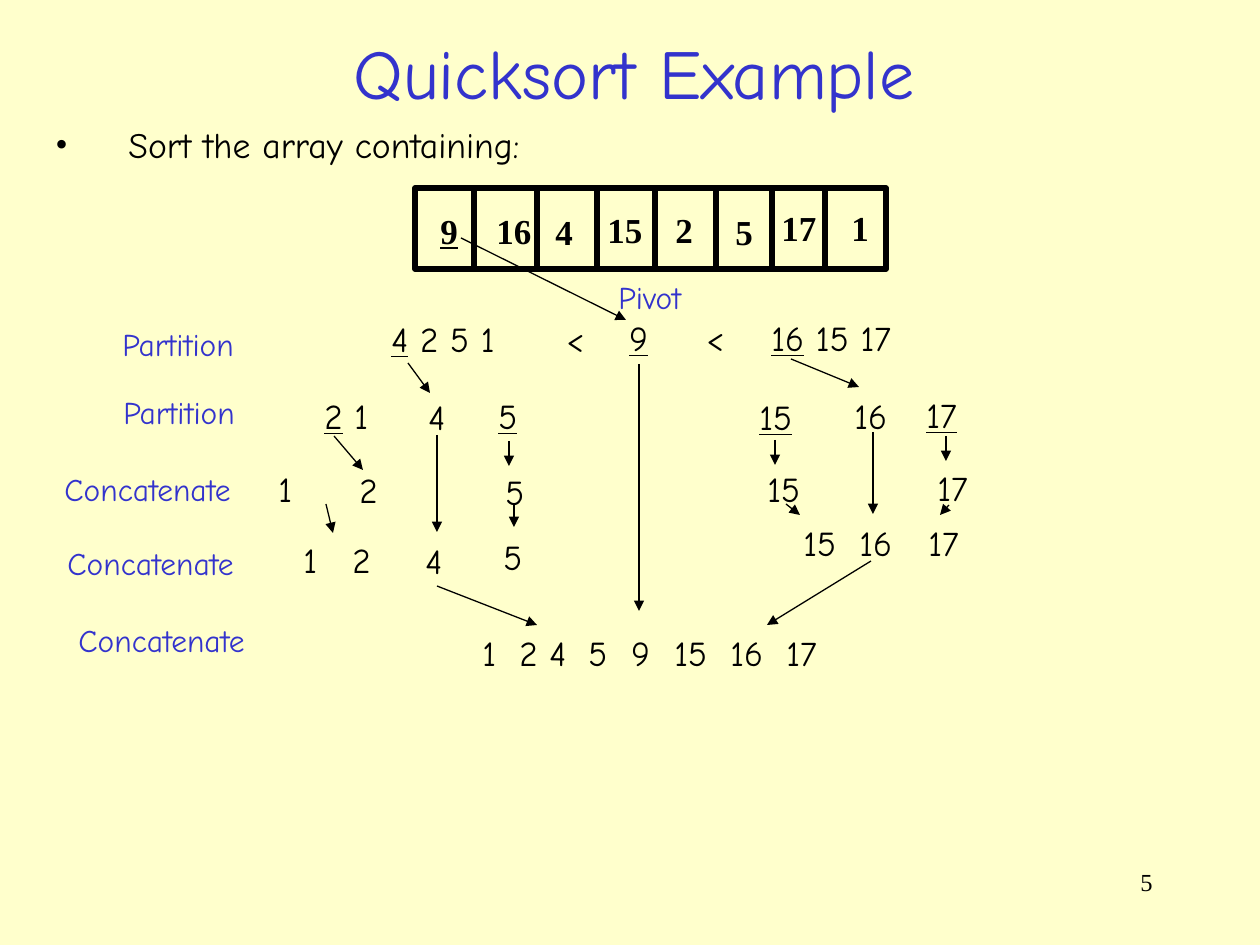
from pptx import Presentation
from pptx.dml.color import RGBColor
from pptx.enum.shapes import MSO_CONNECTOR, MSO_SHAPE
from pptx.enum.text import MSO_ANCHOR, MSO_AUTO_SIZE, PP_ALIGN
from pptx.oxml.ns import qn
from pptx.util import Pt
from lxml import etree

PX = 914400 / 126
LINE = MSO_CONNECTOR.STRAIGHT
RECT = MSO_SHAPE.RECTANGLE
GROW = MSO_AUTO_SIZE.SHAPE_TO_FIT_TEXT
MID, TOP = MSO_ANCHOR.MIDDLE, MSO_ANCHOR.TOP
LEFT, MIDDLE, RIGHT = PP_ALIGN.LEFT, PP_ALIGN.CENTER, PP_ALIGN.RIGHT
HAND, SERIF = "Comic Neue", "Times New Roman"
COLORS = {"paper": "FFFFCC", "ink": "000000", "blue": "3333CC"}

# Array cells: x, y, value
CELLS = [(428, 203, "9"), (484, 203, "16"), (543, 204, "4"), (595, 202, "15"),
         (663, 202, "2"), (723, 204, "5"), (769, 200, "17"), (839, 200, "1")]
WALLS = [474, 537, 597, 655, 716, 772, 825]

# Step names: x, y, width, text
STEPS = [(606, 272, 90, "Pivot"), (110, 319, 139, "Partition"),
         (111, 387, 139, "Partition"), (52, 464, 195, "Concatenate"),
         (55, 538, 195, "Concatenate"), (66, 615, 195, "Concatenate")]

# Sublists: x, y, text, count of leading underlined characters
LISTS = [
    # First partition
    (379, 311, "4 2 5 1", 1), (554, 311, "<", 0), (617, 310, "9", 1),
    (694, 310, "<", 0), (759, 310, "16 15 17", 2),
    # Second partition
    (312, 388, "2 1", 1), (416, 389, "4", 0), (486, 388, "5", 1),
    (747, 389, "15", 2), (842, 388, "16", 0), (914, 387, "17", 2),
    # First join
    (266, 461, "1", 0), (347, 462, "2", 0), (493, 464, "5", 0),
    (755, 461, "15", 0), (925, 460, "17", 0),
    # Second join
    (291, 532, "1", 0), (340, 532, "2", 0), (413, 533, "4", 0),
    (491, 529, "5", 0), (791, 515, "15", 0), (847, 515, "16", 0),
    (916, 515, "17", 0),
]
# Sorted result: x, value
SORTED = [(470, "1"), (507, "2"), (537, "4"), (576, "5"),
          (619, "9"), (662, "15"), (718, "16"), (774, "17")]

# Arrows: start x, y, end x, y
ARROWS = [
    (461, 238, 626, 320), (408, 363, 430, 393), (791, 359, 859, 387),
    (334, 436, 363, 470), (509, 441, 509, 466), (775, 440, 775, 465),
    (946, 436, 946, 461), (326, 504, 333, 533), (437, 435, 437, 532),
    (514, 505, 514, 527), (437, 586, 537, 625), (786, 504, 800, 515),
    (873, 432, 873, 514), (949, 505, 940, 515), (639, 364, 639, 611),
    (871, 561, 767, 625),
]


def px(*nums):
    return [round(n * PX) for n in nums]


def tint(name):
    return RGBColor.from_string(COLORS[name])


def box(slide, x, y, w, h, align=LEFT, anchor=TOP, wrap=True):
    frame = slide.shapes.add_textbox(*px(x, y, w, h)).text_frame
    frame.word_wrap = wrap
    frame.vertical_anchor = anchor
    if not wrap:
        frame.auto_size = GROW
    para = frame.paragraphs[0]
    para.alignment = align
    return para


def put(para, text, size, face=HAND, color="ink", bold=False, under=False):
    run = para.add_run()
    run.text = text
    font = run.font
    font.size, font.name = Pt(size), face
    font.bold, font.underline = bold, under
    font.color.rgb = tint(color)


def value(slide, x, y, text, mark=0, face=HAND, bold=False):
    gaps = text.count(" ")
    wide = 27 + 18 * (len(text) - gaps) + 12 * gaps
    para = box(slide, x, y, wide, 55, wrap=False)
    for part, under in ((text[:mark], True), (text[mark:], False)):
        if part:
            put(para, part, 20, face, bold=bold, under=under)


def line(slide, x1, y1, x2, y2, width, head=False):
    link = slide.shapes.add_connector(LINE, *px(x1, y1, x2, y2))
    link.line.color.rgb = tint("ink")
    link.line.width = Pt(width)
    if head:
        stroke = link._element.spPr.find(qn("a:ln"))
        etree.SubElement(stroke, qn("a:tailEnd"), type="triangle")
    etree.SubElement(link._element.spPr, qn("a:effectLst"))


def bullet(para, indent):
    props = para._p.get_or_add_pPr()
    props.set("marL", str(indent))
    props.set("indent", str(-indent))
    color = etree.SubElement(props, qn("a:buClr"))
    etree.SubElement(color, qn("a:srgbClr"), val=COLORS["ink"])
    etree.SubElement(props, qn("a:buFont"), typeface=SERIF)
    etree.SubElement(props, qn("a:buChar"), char="•")


def array(slide):
    frame = slide.shapes.add_shape(RECT, *px(415, 188, 471, 81))
    frame.shadow.inherit = False
    frame.fill.background()
    frame.line.color.rgb = tint("ink")
    frame.line.width = Pt(3)
    for x in WALLS:
        line(slide, x, 189, x, 272, 3)
    for spot, (x, y, text) in enumerate(CELLS):
        value(slide, x, y, text, int(spot == 0), SERIF, True)


def main():
    deck = Presentation()
    deck.slide_width, deck.slide_height = px(1260, 945)
    slide = deck.slides.add_slide(deck.slide_layouts[6])
    fill = slide.background.fill
    fill.solid()
    fill.fore_color.rgb = tint("paper")

    # Heading, task and page number
    put(box(slide, 33, 23, 1202, 96, MIDDLE, MID),
        "Quicksort Example", 40, color="blue")
    task = box(slide, 43, 121, 1173, 55)
    task.line_spacing = 0.9
    bullet(task, px(73)[0])
    put(task, "Sort the array containing:", 20.4)
    put(box(slide, 903, 861, 262, 63, RIGHT), "5", 14, SERIF)

    # Array and the steps of the sort
    array(slide)
    for x, y, wide, text in STEPS:
        put(box(slide, x, y, wide, 50, wrap=False), text, 18, color="blue")
    for x, y, text, mark in LISTS:
        value(slide, x, y, text, mark)
    for x, text in SORTED:
        value(slide, x, 625, text)
    for ends in ARROWS:
        line(slide, *ends, 0.75, head=True)

    deck.save("out.pptx")


if __name__ == "__main__":
    main()
